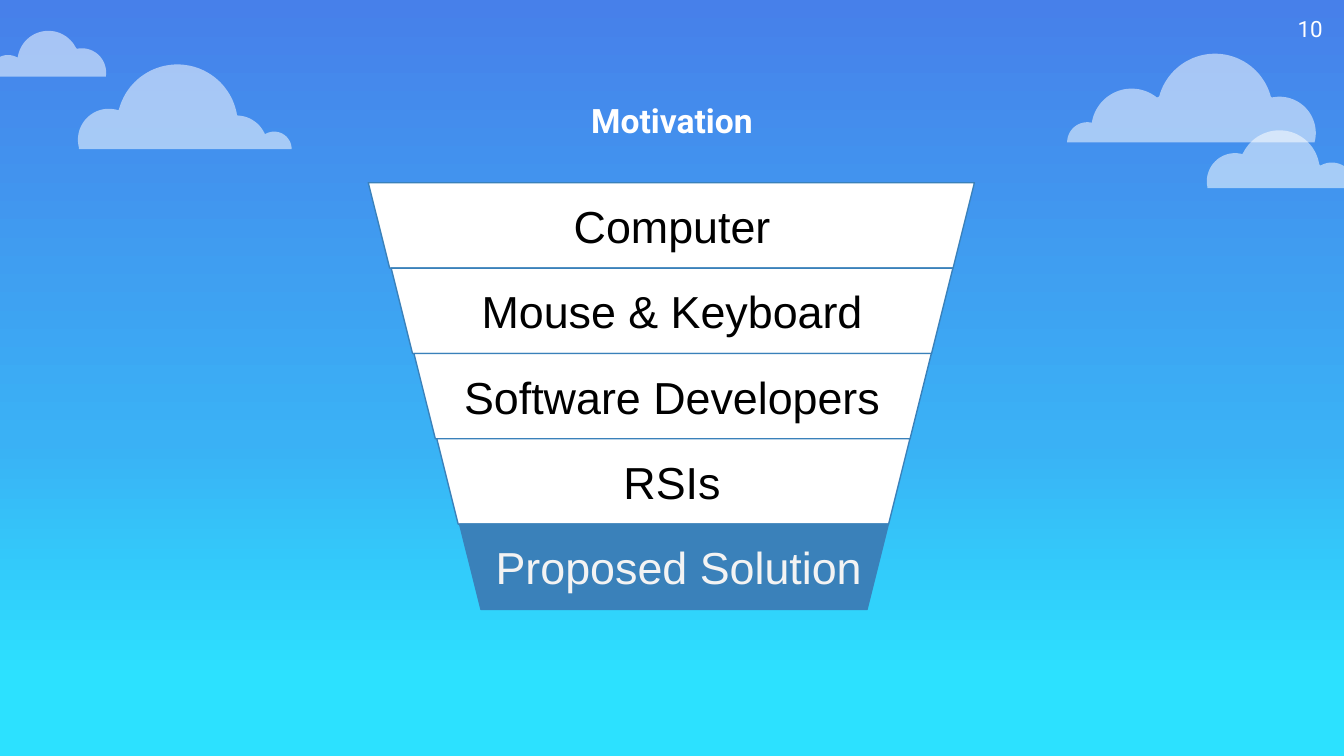
from math import cos, hypot, radians, sin

from lxml.etree import SubElement
from pptx import Presentation
from pptx.dml.color import RGBColor
from pptx.enum.shapes import MSO_SHAPE
from pptx.enum.text import MSO_ANCHOR, PP_ALIGN
from pptx.oxml.ns import qn
from pptx.util import Inches, Pt

WHITE = RGBColor(0xFF, 0xFF, 0xFF)
BLACK = RGBColor(0x00, 0x00, 0x00)
PALE = RGBColor(0xF3, 0xF3, 0xF3)
BLUE = RGBColor(0x3A, 0x81, 0xBA)

# Sky gradient from top to bottom: percent, colour
SKY = [
    (0, RGBColor(0x47, 0x80, 0xEA)),
    (58, RGBColor(0x3A, 0xB1, 0xF5)),
    (90, RGBColor(0x2C, 0xE1, 0xFF)),
    (100, RGBColor(0x2C, 0xE1, 0xFF)),
]
CLOUD_OPACITY = 53

# Each cloud: base line, then its round bumps from left to right (centre x, centre y, radius)
CLOUDS = [
    (1.11, [(0.81, 1.04, 0.23), (1.32, 0.93, 0.45), (1.76, 1.09, 0.23), (2.04, 1.11, 0.13)]),
    (1.4, [(9.19, 1.35, 0.21), (9.52, 1.27, 0.3), (9.91, 1.38, 0.17)]),
    (1.06, [(8.09, 1.06, 0.15), (8.42, 0.96, 0.3), (9.04, 0.83, 0.43), (9.52, 0.99, 0.27)]),
    (0.57, [(0.06, 0.55, 0.14), (0.36, 0.46, 0.23), (0.61, 0.54, 0.18)]),
]

# Funnel levels: text, text centre, text width, text colour, fill
LEVELS = [
    ("Computer", 5, 2.45, BLACK, WHITE),
    ("Mouse & Keyboard", 5, 3.52, BLACK, WHITE),
    ("Software Developers", 5, 3.52, BLACK, WHITE),
    ("RSIs", 5, 2.45, BLACK, WHITE),
    ("Proposed Solution", 5.05, 3.14, PALE, BLUE),
]
FUNNEL_LEFT, FUNNEL_TOP, FUNNEL_WIDTH = 2.74, 1.36, 4.51
LAST_LEVEL_TOP = 3.9
LEVEL_HEIGHT = (LAST_LEVEL_TOP - FUNNEL_TOP) / (len(LEVELS) - 1)
LEVEL_INDENT, LEVEL_NARROWING = 0.17, 0.33


def paint_sky(slide):
    fill = slide.background.fill
    fill.gradient()
    fill.gradient_angle = 270
    stops = slide.element.find(".//" + qn("a:gsLst"))
    for stop in list(stops):
        stops.remove(stop)
    for percent, color in SKY:
        stop = SubElement(stops, qn("a:gs"), pos=str(percent * 1000))
        SubElement(stop, qn("a:srgbClr"), val=str(color))


def cloud_outline(base, bumps):
    """Return the outer arcs of the bumps above the base line, closed along it."""
    arcs = []
    for bump in bumps:
        center_x, center_y, radius = bump
        others = [other for other in bumps if other != bump]
        for angle in range(150, 391, 3):
            x = center_x + radius * cos(radians(angle))
            y = center_y + radius * sin(radians(angle))
            hidden = any(hypot(x - ox, y - oy) < r for ox, oy, r in others)
            if y <= base and not hidden:
                arcs.append((x, y))
    return [(arcs[0][0], base), *arcs, (arcs[-1][0], base)]


def add_cloud(slide, base, bumps):
    points = [(Inches(x), Inches(y)) for x, y in cloud_outline(base, bumps)]
    builder = slide.shapes.build_freeform(*points[0])
    builder.add_line_segments(points[1:], close=True)
    cloud = builder.convert_to_shape()
    cloud.shadow.inherit = False
    cloud.fill.solid()
    cloud.fill.fore_color.rgb = WHITE
    cloud.line.fill.background()
    color = cloud.element.spPr.find(qn("a:solidFill"))[0]
    SubElement(color, qn("a:alpha"), val=str(CLOUD_OPACITY * 1000))


def add_text(slide, text, left, top, width, height, size, color,
             font="Arial", bold=False, align=PP_ALIGN.CENTER):
    box = slide.shapes.add_textbox(Inches(left), Inches(top), Inches(width), Inches(height))
    frame = box.text_frame
    frame.word_wrap = True
    frame.vertical_anchor = MSO_ANCHOR.MIDDLE
    frame.margin_left = frame.margin_right = Inches(0.1)
    frame.margin_top = frame.margin_bottom = Inches(0.1)
    paragraph = frame.paragraphs[0]
    paragraph.text = text
    paragraph.alignment = align
    paragraph.font.name = font
    paragraph.font.size = Pt(size)
    paragraph.font.bold = bold
    paragraph.font.color.rgb = color


def add_funnel(slide):
    for index, (*_, fill) in enumerate(LEVELS):
        level = slide.shapes.add_shape(
            MSO_SHAPE.TRAPEZOID,
            Inches(FUNNEL_LEFT + index * LEVEL_INDENT),
            Inches(FUNNEL_TOP + index * LEVEL_HEIGHT),
            Inches(FUNNEL_WIDTH - index * LEVEL_NARROWING),
            Inches(LEVEL_HEIGHT),
        )
        level.rotation = 180
        level.adjustments[0] = 0.25
        level.shadow.inherit = False
        level.fill.solid()
        level.fill.fore_color.rgb = fill
        level.line.color.rgb = BLUE
        level.line.width = Pt(0.75)
    for index, (text, center, width, color, _) in enumerate(LEVELS):
        add_text(slide, text, center - width / 2, FUNNEL_TOP + index * LEVEL_HEIGHT,
                 width, LEVEL_HEIGHT, 24, color)


def main():
    presentation = Presentation()
    presentation.slide_width = Inches(10)
    presentation.slide_height = Inches(10 * 9 / 16)
    slide = presentation.slides.add_slide(presentation.slide_layouts[6])
    paint_sky(slide)
    for base, bumps in CLOUDS:
        add_cloud(slide, base, bumps)
    add_text(slide, "10", 9.34, 0, 0.6, 0.43, 12, WHITE, font="Roboto", align=PP_ALIGN.RIGHT)
    add_funnel(slide)
    add_text(slide, "Motivation", 1, 0.43, 8, 0.93, 18, WHITE, font="Roboto", bold=True)
    presentation.save("out.pptx")


if __name__ == "__main__":
    main()
